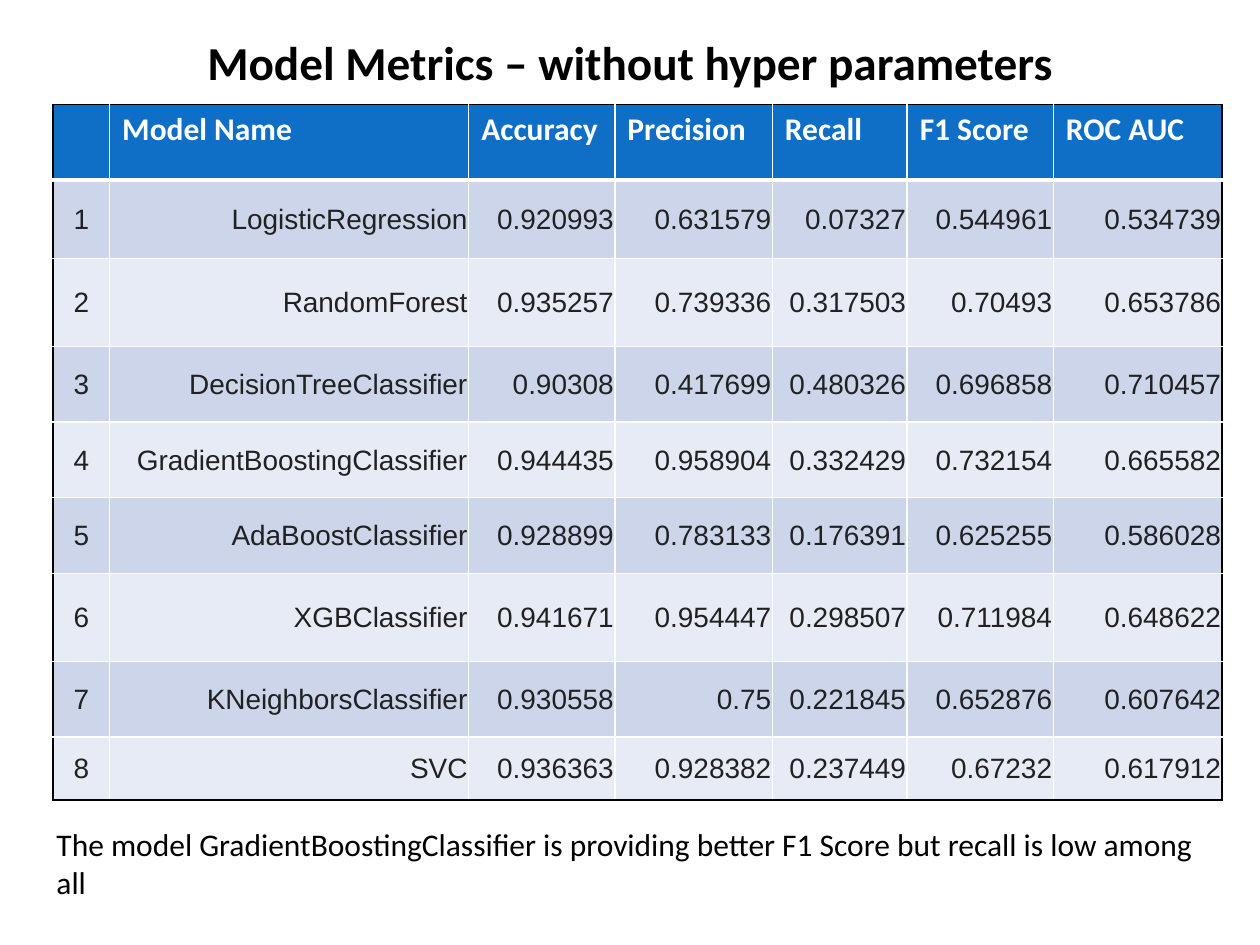
from lxml.etree import SubElement
from pptx import Presentation
from pptx.dml.color import RGBColor
from pptx.enum.text import MSO_ANCHOR as Anchor, MSO_AUTO_SIZE as AutoSize, PP_ALIGN as Align
from pptx.oxml.ns import qn
from pptx.util import Inches, Pt

# The slide is a grid of 100 columns by 75 rows; every box is in these units.
COLUMNS, ROWS = 100, 75
UNIT = Inches(0.1)

TITLE_BOX = (5, 3, 90, 3.7)
TABLE_BOX = (4.2, 8.3, 92.7, 55)
NOTE_BOX = (3.5, 65, 93.3, 7.1)

BLACK, WHITE, INK = "000000", "FFFFFF", "212121"
HEADER_FILL = "0F6FC6"
BAND_FILLS = ("CCD5EA", "E7EBF5")

TITLE_FONT = {"name": "Calibri", "size": Pt(27), "bold": True}
HEADER_FONT = {"name": "Calibri", "size": Pt(18), "bold": True}
BODY_FONT = {"name": "Arial", "size": Pt(16), "bold": False}
NOTE_FONT = {"name": "Calibri", "size": Pt(18), "bold": False}
BODY_CELL = {"vertical_anchor": Anchor.MIDDLE, "margin_left": Inches(0.01),
             "margin_right": Inches(0.01), "margin_top": Inches(0.01), "margin_bottom": 0}

COLUMN_WIDTHS = (4.5, 28.5, 11.6, 12.5, 10.7, 11.6, 13.4)
ROW_HEIGHTS = (6, 6.2, 7, 6, 6, 6, 7, 6, 5)

HEADERS = ("", "Model Name", "Accuracy", "Precision", "Recall", "F1 Score", "ROC AUC")
METRICS = (
    ("LogisticRegression", 0.920993, 0.631579, 0.07327, 0.544961, 0.534739),
    ("RandomForest", 0.935257, 0.739336, 0.317503, 0.70493, 0.653786),
    ("DecisionTreeClassifier", 0.90308, 0.417699, 0.480326, 0.696858, 0.710457),
    ("GradientBoostingClassifier", 0.944435, 0.958904, 0.332429, 0.732154, 0.665582),
    ("AdaBoostClassifier", 0.928899, 0.783133, 0.176391, 0.625255, 0.586028),
    ("XGBClassifier", 0.941671, 0.954447, 0.298507, 0.711984, 0.648622),
    ("KNeighborsClassifier", 0.930558, 0.75, 0.221845, 0.652876, 0.607642),
    ("SVC", 0.936363, 0.928382, 0.237449, 0.67232, 0.617912),
)


def colour(hex_text):
    return RGBColor.from_string(hex_text)


def grid(*units):
    return [int(unit * UNIT) for unit in units]


def set_format(target, values):
    for name, value in values.items():
        setattr(target, name, value)


def write(frame, text, font, hex_text, align):
    para = frame.paragraphs[0]
    para.alignment = align
    span = para.add_run()
    span.text = text
    set_format(span.font, font)
    span.font.color.rgb = colour(hex_text)


def set_borders(cell, sides):
    """Draw the cell's edges from (side, colour, points) in L, R, T, B order."""
    properties = cell._tc.get_or_add_tcPr()
    for index, (side, hex_text, points) in enumerate(sides):
        line = SubElement(properties, qn(f"a:ln{side}"), w=str(Pt(points)))
        fill = SubElement(line, qn("a:solidFill"))
        SubElement(fill, qn("a:srgbClr"), val=hex_text)
        properties.insert(index, line)


def style_cell(cell, fill, row, column):
    """Fill a cell; its edges are black on the table's rim and white inside."""
    cell.fill.solid()
    cell.fill.fore_color.rgb = colour(fill)
    last_row, last_column = len(METRICS), len(HEADERS) - 1
    rim = {"L": column == 0, "R": column == last_column, "T": row == 0, "B": row == last_row}
    under_header = {(0, "B"), (1, "T")}
    set_borders(cell, [(side, BLACK if outer else WHITE, 3 if (row, side) in under_header else 1)
                       for side, outer in rim.items()])


def add_title(page, box):
    title = page.shapes.title
    set_format(title, dict(zip(("left", "top", "width", "height"), grid(*box))))
    title.text_frame.vertical_anchor = Anchor.MIDDLE
    write(title.text_frame, "Model Metrics – without hyper parameters", TITLE_FONT, BLACK, Align.CENTER)


def add_metrics_table(page, box):
    table = page.shapes.add_table(len(METRICS) + 1, len(HEADERS), *grid(*box)).table
    for column, width in zip(table.columns, grid(*COLUMN_WIDTHS)):
        column.width = width
    for row, height in zip(table.rows, grid(*ROW_HEIGHTS)):
        row.height = height

    for column, text in enumerate(HEADERS):
        cell = table.cell(0, column)
        if text:
            write(cell.text_frame, text, HEADER_FONT, WHITE, Align.LEFT)
        style_cell(cell, HEADER_FILL, 0, column)

    for row, record in enumerate(METRICS, start=1):
        for column, value in enumerate((row, *record)):
            cell = table.cell(row, column)
            set_format(cell, BODY_CELL)
            align = Align.RIGHT if column else Align.CENTER
            write(cell.text_frame, str(value), BODY_FONT, INK, align)
            style_cell(cell, BAND_FILLS[(row - 1) % 2], row, column)


def add_note(page, box):
    frame = page.shapes.add_textbox(*grid(*box)).text_frame
    set_format(frame, {"word_wrap": True, "auto_size": AutoSize.SHAPE_TO_FIT_TEXT})
    write(frame, "The model GradientBoostingClassifier is providing better F1 Score "
                 "but recall is low among all", NOTE_FONT, BLACK, Align.LEFT)


def main():
    deck = Presentation()
    deck.slide_width, deck.slide_height = grid(COLUMNS, ROWS)
    page = deck.slides.add_slide(deck.slide_layouts.get_by_name("Title Only"))
    add_title(page, TITLE_BOX)
    add_metrics_table(page, TABLE_BOX)
    add_note(page, NOTE_BOX)
    deck.save("out.pptx")


if __name__ == "__main__":
    main()
